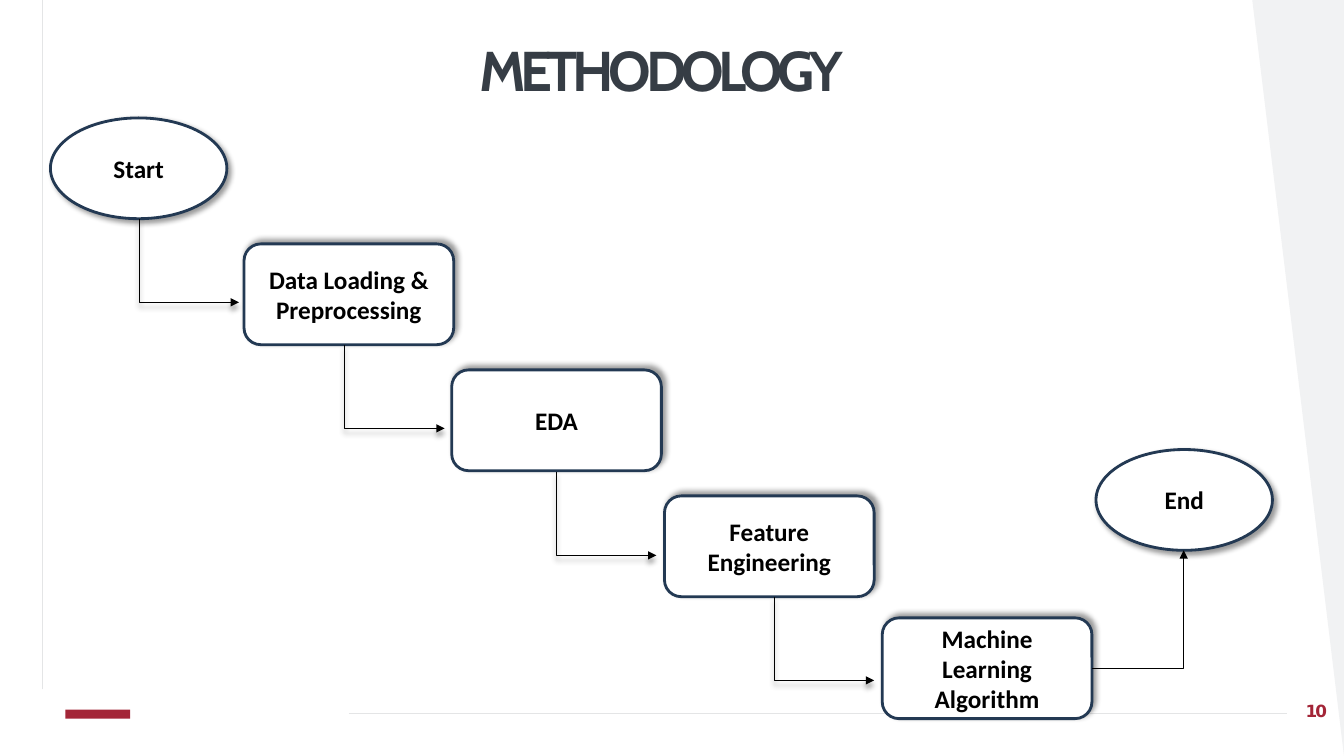
from lxml import etree
from pptx import Presentation
from pptx.dml.color import RGBColor
from pptx.enum.shapes import MSO_CONNECTOR, MSO_SHAPE
from pptx.enum.text import MSO_ANCHOR, PP_ALIGN
from pptx.oxml.ns import qn
from pptx.util import Inches, Pt

COLORS = {
    "background": "FFFFFF",
    "wedge": "F1F2F3",
    "rule": "E4E5E6",
    "brand": "A32638",
    "title": "363D45",
    "page": "A32537",
    "node": "FFFFFF",
    "outline": "233953",
    "ink": "000000",
}
STEP_SIZE = (2.08, 1)
TERMINAL_SIZE = (1.75, 1)
ARROW_SPAN = (0.99, 0.83)

NODES = [
    ("Start", MSO_SHAPE.OVAL, (0.5, 1.17), TERMINAL_SIZE, 45),
    ("Data Loading & Preprocessing", MSO_SHAPE.ROUNDED_RECTANGLE, (2.42, 2.42), STEP_SIZE, 315),
    ("EDA", MSO_SHAPE.ROUNDED_RECTANGLE, (4.48, 3.67), STEP_SIZE, 315),
    ("Feature Engineering", MSO_SHAPE.ROUNDED_RECTANGLE, (6.59, 4.92), STEP_SIZE, 315),
    ("Machine Learning Algorithm", MSO_SHAPE.ROUNDED_RECTANGLE, (8.75, 6.13), STEP_SIZE, 315),
    ("End", MSO_SHAPE.OVAL, (10.87, 4.46), TERMINAL_SIZE, 45),
]
STEP_ARROW_STARTS = [(1.38, 2.17), (3.42, 3.42), (5.52, 4.68), (7.68, 5.92)]


def color(name):
    """Return the named palette colour."""
    return RGBColor.from_string(COLORS[name])


def add_shadow(effects, direction):
    """Fill an effect list with the soft outer shadow of the flowchart."""
    shadow = etree.SubElement(
        effects, qn("a:outerShdw"), blurRad=str(Pt(4)), dist=str(Pt(3)),
        dir=str(direction * 60000), algn="ctr", rotWithShape="0")
    tint = etree.SubElement(shadow, qn("a:srgbClr"), val=COLORS["ink"])
    etree.SubElement(tint, qn("a:alpha"), val="40000")


def add_run(paragraph, text, font, size, tone, spacing=0):
    """Add one bold run to a paragraph."""
    run = paragraph.add_run()
    run.text = text
    run.font.name = font
    run.font.size = Pt(size)
    run.font.bold = True
    run.font.color.rgb = color(tone)
    if spacing:
        run.font._element.set("spc", str(round(spacing * 100)))


def add_label(slide, box, text, font, size, tone, spacing, align, top_inset):
    """Place a single-line label in a box."""
    label = slide.shapes.add_textbox(*map(Inches, box))
    frame = label.text_frame
    frame.word_wrap = True
    frame.margin_left = frame.margin_right = frame.margin_bottom = 0
    frame.margin_top = Inches(top_inset)
    paragraph = frame.paragraphs[0]
    paragraph.alignment = align
    paragraph.space_before = Pt(1)
    add_run(paragraph, text, font, size, tone, spacing)


def add_rule(slide, start, end):
    """Draw a thin straight rule."""
    rule = slide.shapes.add_connector(
        MSO_CONNECTOR.STRAIGHT, *map(Inches, (*start, *end)))
    rule.line.color.rgb = color("rule")
    rule.line.width = Pt(0.5)
    etree.SubElement(rule.element.spPr, qn("a:effectLst"))


def add_backdrop(slide, width, height):
    """Draw the slanted wedge, the rules and the plain brand mark."""
    builder = slide.shapes.build_freeform(Inches(width), 0)
    builder.add_line_segments(
        [(Inches(width - 0.91), 0), (Inches(width), Inches(height))], close=True)
    wedge = builder.convert_to_shape()
    mark = slide.shapes.add_shape(
        MSO_SHAPE.RECTANGLE, *map(Inches, (0.65, height - 0.46, 0.64, 0.09)))
    for part, tone in ((wedge, "wedge"), (mark, "brand")):
        part.shadow.inherit = False
        part.fill.solid()
        part.fill.fore_color.rgb = color(tone)
        part.line.fill.background()
    add_rule(slide, (0.42, height - 0.66), (0.42, 0))
    add_rule(slide, (3.46, height - 0.42), (width - 0.57, height - 0.42))


def add_node(slide, text, outline, corner, size, shadow_direction):
    """Draw one flowchart node with its centred caption."""
    node = slide.shapes.add_shape(outline, *map(Inches, (*corner, *size)))
    node.fill.solid()
    node.fill.fore_color.rgb = color("node")
    node.line.color.rgb = color("outline")
    node.line.width = Pt(2)
    node.shadow.inherit = False
    add_shadow(node.element.spPr.find(qn("a:effectLst")), shadow_direction)
    frame = node.text_frame
    frame.vertical_anchor = MSO_ANCHOR.MIDDLE
    frame.paragraphs[0].alignment = PP_ALIGN.CENTER
    add_run(frame.paragraphs[0], text, "Calibri", 18, "ink")


def add_arrow(slide, start, end, down_first):
    """Draw a one-bend arrow, going down first or across first."""
    arrow = slide.shapes.add_connector(
        MSO_CONNECTOR.ELBOW, *map(Inches, (*start, *end)))
    properties = arrow.element.spPr
    properties.find(qn("a:prstGeom")).set("prst", "bentConnector2")
    if down_first:
        across, down = end[0] - start[0], end[1] - start[1]
        arrow.left = Inches((start[0] + end[0] - down) / 2)
        arrow.top = Inches((start[1] + end[1] - across) / 2)
        arrow.width, arrow.height = Inches(down), Inches(across)
        transform = properties.find(qn("a:xfrm"))
        transform.set("rot", str(270 * 60000))
        transform.set("flipH", "1")
    arrow.line.color.rgb = color("ink")
    arrow.line.width = Pt(0.75)
    etree.SubElement(properties.find(qn("a:ln")), qn("a:tailEnd"), type="triangle")
    effects = etree.SubElement(properties, qn("a:effectLst"))
    if down_first:
        add_shadow(effects, 90)


def add_flowchart(slide, left, top):
    """Draw the staircase of nodes and arrows, offset by left and top."""
    for text, outline, (x, y), size, direction in NODES:
        add_node(slide, text, outline, (left + x, top + y), size, direction)
    for x, y in STEP_ARROW_STARTS:
        start = (left + x, top + y)
        end = (start[0] + ARROW_SPAN[0], start[1] + ARROW_SPAN[1])
        add_arrow(slide, start, end, True)
    add_arrow(slide, (left + 10.83, top + 6.63), (left + 11.74, top + 5.46), False)


def main():
    """Build and save the methodology slide."""
    deck = Presentation()
    width, height = 13.33, 7.5
    deck.slide_width, deck.slide_height = Inches(width), Inches(height)
    slide = deck.slides.add_slide(deck.slide_layouts[6])
    slide.background.fill.solid()
    slide.background.fill.fore_color.rgb = color("background")
    add_backdrop(slide, width, height)
    add_label(slide, (3.03, 0.34, 7.06, 0.69), "METHODOLOGY", "Cabin", 40,
              "title", -3.7, PP_ALIGN.CENTER, 0.01)
    add_label(slide, (12.95, 6.93, 0.29, 0.24), "10", "DejaVu Sans", 12,
              "page", -1.4, PP_ALIGN.LEFT, 0.02)
    add_flowchart(slide, 0, 0)
    deck.save("out.pptx")


if __name__ == "__main__":
    main()
